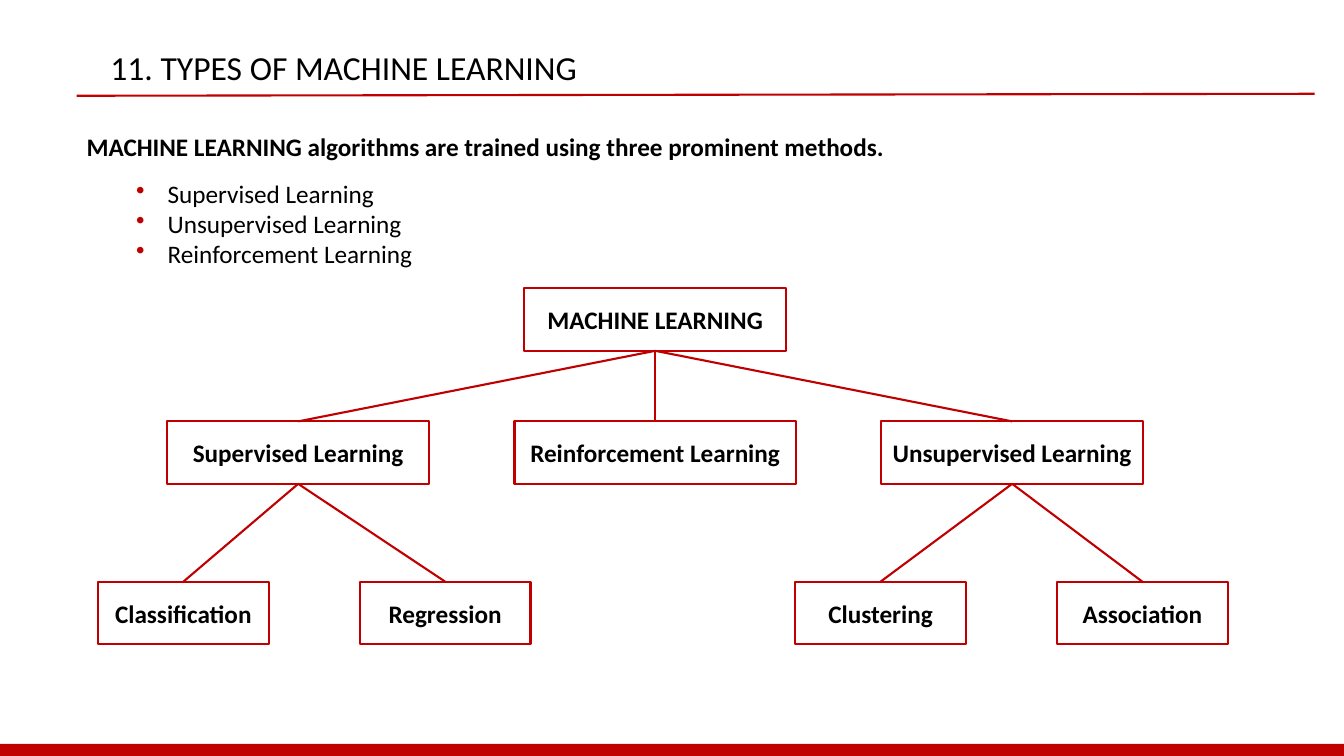
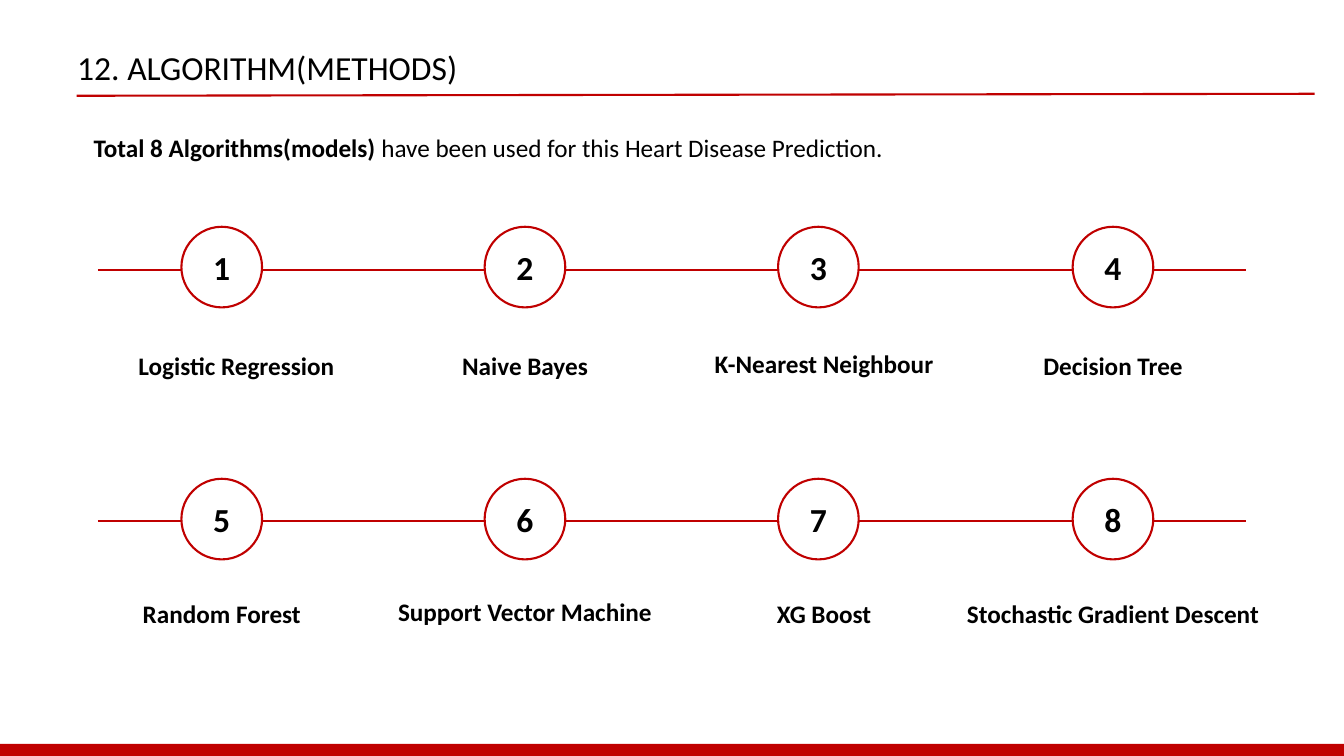
import pptx
import pptx.dml.color
import pptx.enum.shapes
import pptx.enum.text
import pptx.oxml.ns
import pptx.util
import lxml.etree

Pt = pptx.util.Pt
SHAPE = pptx.enum.shapes.MSO_SHAPE
ALIGN = pptx.enum.text.PP_ALIGN
ANCHOR = pptx.enum.text.MSO_ANCHOR
qn = pptx.oxml.ns.qn

# Shared style
RED, BLACK, WHITE = "C00000", "000000", "FFFFFF"
FONT = "Calibri"
WIDTH, HEIGHT = 960, 540
BAND_HEIGHT = 8.6
LINE_WIDTH = 1.5

# Content: types of machine learning
TYPES_TITLE = "11. TYPES OF MACHINE LEARNING"
TYPES_INTRO = "MACHINE LEARNING algorithms are trained using three prominent methods."
METHODS = ["Supervised Learning", "Unsupervised Learning", "Reinforcement Learning"]

NODE_HEIGHT = 44.6
LEVEL_TOPS = [206, 301, 415.5]
# name, parent, level, centre, width
TREE = [
    ("MACHINE LEARNING", None, 0, 468, 187),
    ("Supervised Learning", "MACHINE LEARNING", 1, 213, 187),
    ("Reinforcement Learning", "MACHINE LEARNING", 1, 468, 201),
    ("Unsupervised Learning", "MACHINE LEARNING", 1, 723, 187),
    ("Classification", "Supervised Learning", 2, 131, 122),
    ("Regression", "Supervised Learning", 2, 318, 122),
    ("Clustering", "Unsupervised Learning", 2, 629, 122),
    ("Association", "Unsupervised Learning", 2, 816, 122),
]

# Content: algorithms
ALGORITHMS_TITLE = "12. ALGORITHM(METHODS)"
ALGORITHMS_INTRO = [
    ("Total 8 Algorithms(models) ", True),
    ("have been used for this Heart Disease Prediction.", False),
]
COLUMN_CENTRES = [158.4, 375, 584.6, 795]
CIRCLE = 57.6
# top of circles, height of line, top of labels
ROWS = [(162, 193, 236.2), (342, 372.2, 413.3)]
# name, label width, shift of the label from its column and row
ALGORITHMS = [
    ("Logistic Regression", 168, 10.4, 0),
    ("Naive Bayes", 168, 0, 0),
    ("K-Nearest Neighbour", 175, 4, -2),
    ("Decision Tree", 168, 0, 0),
    ("Random Forest", 168, 0, 0),
    ("Support Vector Machine", 203, 0, -2),
    ("XG Boost", 168, 4, 0),
    ("Stochastic Gradient Descent", 240, 0, 0),
]


def colour(value):
    return pptx.dml.color.RGBColor.from_string(value)


def add_bullet(paragraph, indent, hanging):
    properties = paragraph._p.get_or_add_pPr()
    properties.set("marL", str(Pt(indent)))
    properties.set("indent", str(-Pt(hanging)))
    bullet_colour = lxml.etree.SubElement(properties, qn("a:buClr"))
    lxml.etree.SubElement(bullet_colour, qn("a:srgbClr"), val=RED)
    lxml.etree.SubElement(properties, qn("a:buChar"), char="•")


def write_text(shape, text, size=18, bold=False, align=ALIGN.LEFT, anchor=ANCHOR.TOP,
               spacing=None, side_margin=7.2, bullets=()):
    """Write text, a string or (text, bold) runs, then any bullet lines."""
    frame = shape.text_frame
    frame.word_wrap = True
    frame.vertical_anchor = anchor
    frame.margin_left = frame.margin_right = Pt(side_margin)
    runs = [(text, bold)] if isinstance(text, str) else text
    for index, line in enumerate([runs] + [[(item, False)] for item in bullets]):
        paragraph = frame.add_paragraph() if index else frame.paragraphs[0]
        paragraph.alignment = align
        if spacing:
            paragraph.line_spacing = spacing
        if index == 1:
            paragraph.space_before = Pt(12.2)
        if index:
            add_bullet(paragraph, 58, 22.5)
        for words, is_bold in line:
            run = paragraph.add_run()
            run.text = words
            run.font.name = FONT
            run.font.size = Pt(size)
            run.font.bold = is_bold
            run.font.color.rgb = colour(BLACK)


def add_text(slide, left, top, width, height, text, **text_format):
    box = slide.shapes.add_textbox(Pt(left), Pt(top), Pt(width), Pt(height))
    write_text(box, text, **text_format)


def add_shape(slide, kind, left, top, width, height, fill=None, line=RED):
    shape = slide.shapes.add_shape(kind, Pt(left), Pt(top), Pt(width), Pt(height))
    shape.shadow.inherit = False
    if fill:
        shape.fill.solid()
        shape.fill.fore_color.rgb = colour(fill)
    else:
        shape.fill.background()
    if line:
        shape.line.color.rgb = colour(line)
        shape.line.width = Pt(LINE_WIDTH)
    else:
        shape.line.fill.background()
    return shape


def add_line(slide, x1=0, y1=0, x2=0, y2=0):
    line = slide.shapes.add_connector(
        pptx.enum.shapes.MSO_CONNECTOR.STRAIGHT, Pt(x1), Pt(y1), Pt(x2), Pt(y2))
    line.line.color.rgb = colour(RED)
    line.line.width = Pt(LINE_WIDTH)
    lxml.etree.SubElement(line._element.spPr, qn("a:effectLst"))
    return line


def new_slide(deck, title, title_centre):
    """Start a slide with its title, header line and footer band."""
    slide = deck.slides.add_slide(deck.slide_layouts[6])
    title_width = 380
    add_text(slide, title_centre - title_width / 2, 30, title_width, 36, title,
             size=24, align=ALIGN.CENTER, anchor=ANCHOR.MIDDLE)
    add_line(slide, 54.7, 68.4, 939, 67)
    add_shape(slide, SHAPE.RECTANGLE, 0, HEIGHT - BAND_HEIGHT, WIDTH, BAND_HEIGHT,
              fill=RED, line=None)
    return slide


def build_types(deck):
    slide = new_slide(deck, TYPES_TITLE, 245.5)
    add_text(slide, 54.7, 90, 807, 122, TYPES_INTRO, bold=True, bullets=METHODS)

    # Tree of methods, each node joined to its parent
    nodes = {}
    for name, parent, level, centre, width in TREE:
        node = add_shape(slide, SHAPE.RECTANGLE, centre - width / 2, LEVEL_TOPS[level],
                         width, NODE_HEIGHT)
        write_text(node, name, bold=True, align=ALIGN.CENTER, anchor=ANCHOR.MIDDLE,
                   side_margin=0)
        nodes[name] = node
        if parent:
            branch = add_line(slide)
            branch.begin_connect(nodes[parent], 2)
            branch.end_connect(node, 0)


def build_algorithms(deck):
    slide = new_slide(deck, ALGORITHMS_TITLE, 191)
    add_text(slide, 59.8, 90.7, 580, 29, ALGORITHMS_INTRO)

    # Lines behind the numbered circles
    for _, line_y, _ in ROWS:
        add_line(slide, 70, line_y, 890, line_y)

    # Numbered circles and their labels
    for index, (name, width, shift_x, shift_y) in enumerate(ALGORITHMS):
        row, column = divmod(index, len(COLUMN_CENTRES))
        circle_top, _, label_top = ROWS[row]
        centre = COLUMN_CENTRES[column]
        circle = add_shape(slide, SHAPE.OVAL, centre - CIRCLE / 2, circle_top,
                           CIRCLE, CIRCLE, fill=WHITE)
        write_text(circle, str(index + 1), size=24, bold=True, align=ALIGN.CENTER,
                   anchor=ANCHOR.MIDDLE)
        add_text(slide, centre + shift_x - width / 2, label_top + shift_y, width, 36.7,
                 name, bold=True, align=ALIGN.CENTER, spacing=1.5)


def main():
    deck = pptx.Presentation()
    deck.slide_width, deck.slide_height = Pt(WIDTH), Pt(HEIGHT)
    build_types(deck)
    build_algorithms(deck)
    deck.save("out.pptx")


if __name__ == "__main__":
    main()
